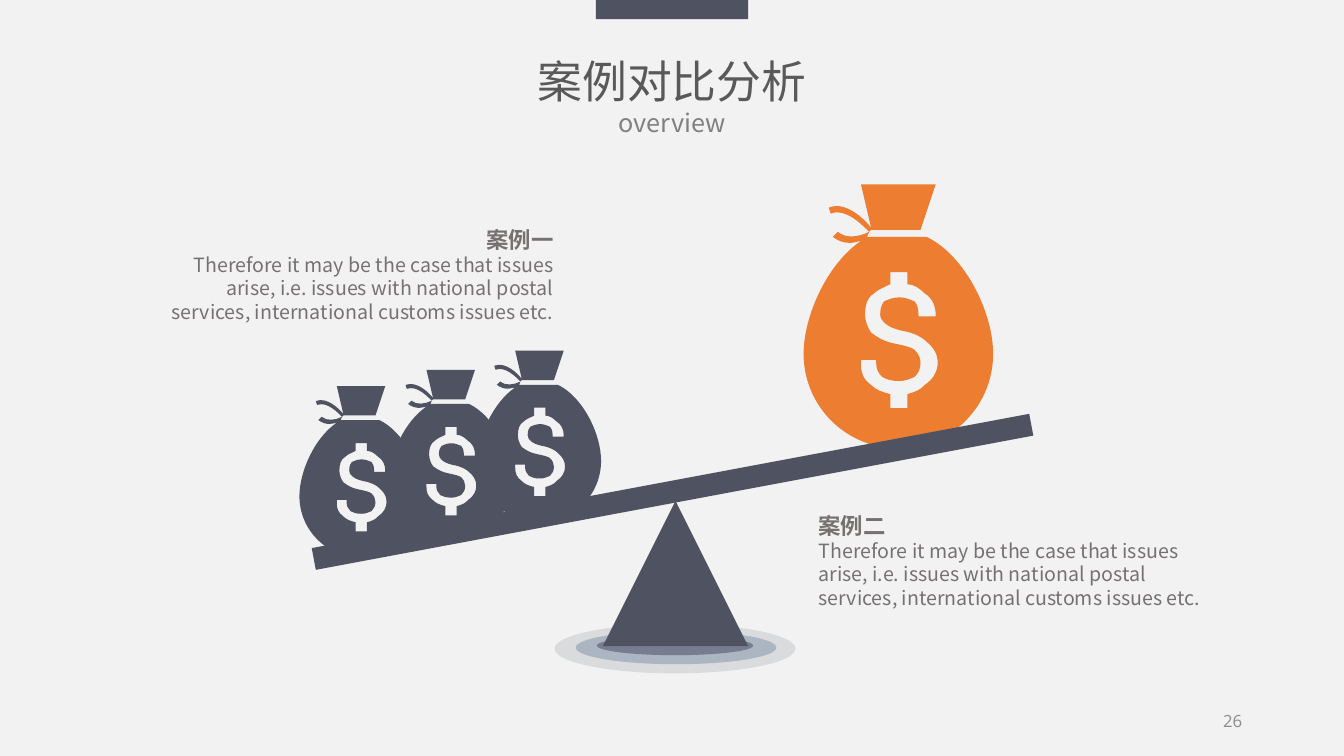
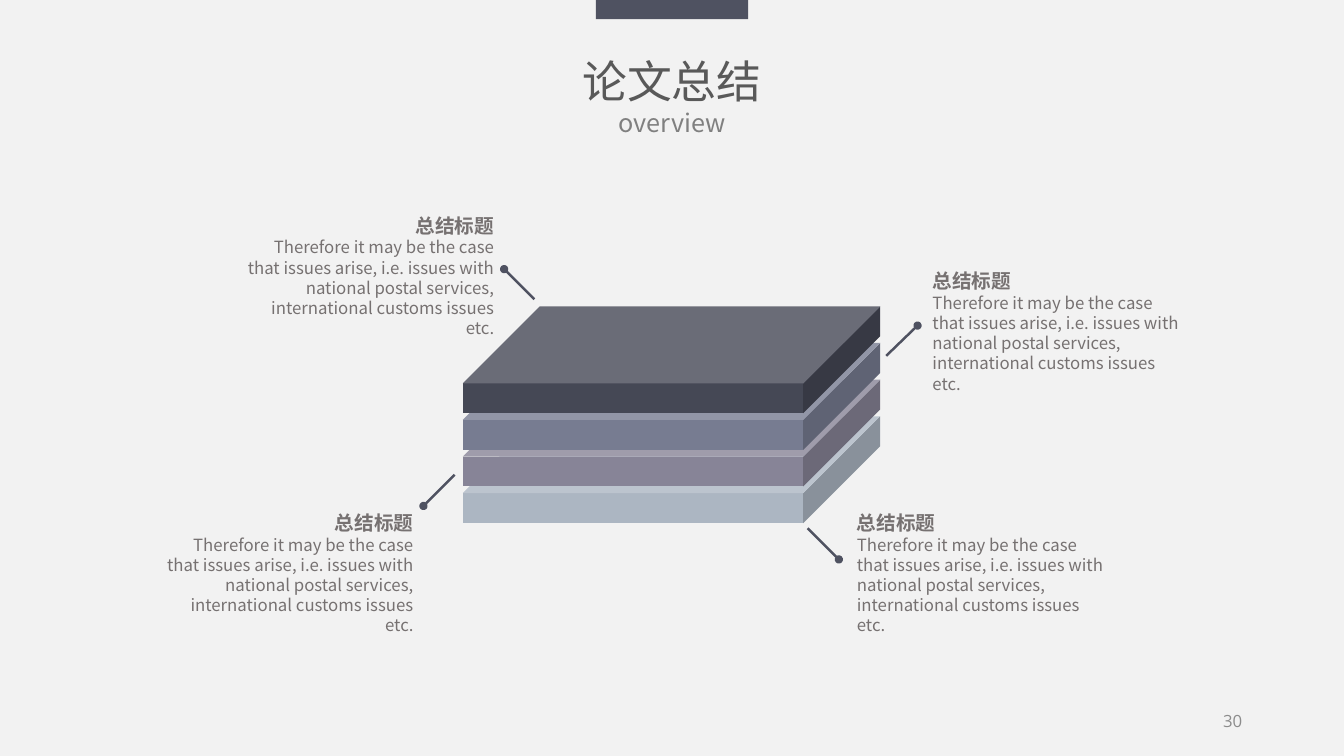
from lxml import etree
from pptx import Presentation
from pptx.dml.color import RGBColor
from pptx.enum import shapes, text
from pptx.oxml import ns
from pptx.util import Inches, Pt

# Shared colours and fonts
PAPER = RGBColor(0xF2, 0xF2, 0xF2)
SLATE = RGBColor(0x4F, 0x52, 0x61)
ORANGE = RGBColor(0xED, 0x7D, 0x31)
CHARCOAL = RGBColor(0x45, 0x48, 0x55)
INDIGO = RGBColor(0x77, 0x7C, 0x91)
MAUVE = RGBColor(0x87, 0x84, 0x97)
MIST = RGBColor(0xAC, 0xB6, 0xC2)
PALE = RGBColor(0xDA, 0xDB, 0xDD)
TITLE_GREY = RGBColor(0x59, 0x59, 0x59)
SUBTITLE_GREY = RGBColor(0x80, 0x80, 0x80)
TEXT_GREY = RGBColor(0x76, 0x71, 0x71)
NUMBER_GREY = RGBColor(0x8C, 0x8C, 0x8C)
CJK, HEADING, NUMBER = "Noto Sans CJK SC", "Roboto", "Open Sans"
LEFT, CENTER, RIGHT = (text.PP_ALIGN.LEFT, text.PP_ALIGN.CENTER,
                       text.PP_ALIGN.RIGHT)
BODY = ("Therefore it may be the case that issues arise, i.e. issues with "
        "national postal services, international customs issues etc.")

# Money bag outlines in inches: a pair is a corner, six numbers are a curve
BAG_NECK = [
    (1.16, .45), (1.31, 0), (.57, 0), (.67, .43),
    (.61, .35, .42, .16, .25, .23), (.27, .29),
    (.42, .23, .59, .41, .65, .47), (.67, .45)]
BAG_BODY = [
    (1.22, .52), (.63, .52), (.65, .47), (.55, .52, .42, .54, .34, .47),
    (.29, .52), (.34, .56, .4, .58, .46, .58), (.51, .58, .55, .56, .57, .56),
    (.23, .79, 0, 1.31, 0, 1.68), (0, 2.2, .42, 2.62, .95, 2.62),
    (1.46, 2.62, 1.88, 2.2, 1.88, 1.68), (1.88, 1.27, 1.6, .7, 1.22, .52)]
DOLLAR = [
    (1.2, 1.99), (1.16, 2.04, 1.1, 2.06, 1.03, 2.08), (1.03, 2.22),
    (.86, 2.22), (.86, 2.08), (.78, 2.06, .72, 2.04, .67, 1.99),
    (.59, 1.93, .57, 1.87, .57, 1.79), (.57, 1.74), (.72, 1.74), (.72, 1.77),
    (.72, 1.83, .74, 1.87, .78, 1.91), (.82, 1.93, .86, 1.95, .95, 1.95),
    (1.01, 1.95, 1.05, 1.93, 1.1, 1.91), (1.14, 1.87, 1.16, 1.83, 1.16, 1.77),
    (1.16, 1.72, 1.14, 1.68, 1.1, 1.64), (1.08, 1.62, 1.01, 1.6, .91, 1.58),
    (.8, 1.56, .74, 1.52, .67, 1.47), (.63, 1.41, .61, 1.35, .61, 1.29),
    (.61, 1.2, .63, 1.12, .7, 1.08), (.74, 1.04, .8, 1.02, .86, .99),
    (.86, .87), (1.03, .87), (1.03, .99), (1.1, .99, 1.16, 1.04, 1.2, 1.08),
    (1.27, 1.12, 1.31, 1.2, 1.31, 1.29), (1.31, 1.31), (1.14, 1.31),
    (1.14, 1.29), (1.14, 1.22, 1.12, 1.18, 1.1, 1.16),
    (1.05, 1.14, 1.01, 1.12, .95, 1.12), (.89, 1.12, .84, 1.14, .8, 1.16),
    (.78, 1.18, .76, 1.22, .76, 1.29), (.76, 1.33, .78, 1.35, .8, 1.37),
    (.84, 1.41, .89, 1.43, .97, 1.45), (1.1, 1.47, 1.18, 1.52, 1.22, 1.56),
    (1.29, 1.62, 1.33, 1.68, 1.33, 1.77), (1.33, 1.85, 1.29, 1.93, 1.2, 1.99)]


def paint(shape, color):
    shape.shadow.inherit = False
    shape.fill.solid()
    shape.fill.fore_color.rgb = color
    shape.line.fill.background()


def add_block(page, kind, place, color):
    block = page.shapes.add_shape(kind, *map(Inches, place))
    paint(block, color)
    return block


def add_text(page, place, lines, align=LEFT, wrap=True,
             anchor=text.MSO_ANCHOR.TOP):
    """Each line is a pair: its words and a dict of font values."""
    box = page.shapes.add_textbox(*map(Inches, place))
    frame = box.text_frame
    frame.word_wrap = wrap
    frame.vertical_anchor = anchor
    for index, (words, style) in enumerate(lines):
        para = frame.paragraphs[0] if index == 0 else frame.add_paragraph()
        para.alignment = align
        span = para.add_run()
        span.text = words
        values = dict(style)
        span.font.color.rgb = values.pop("color")
        for name, value in values.items():
            setattr(span.font, name, value)
        east_asian = etree.SubElement(span.font._element, ns.qn("a:ea"))
        east_asian.set("typeface", CJK)


def add_note(page, place, heading, size, align=LEFT):
    add_text(page, place, [
        (heading, dict(size=Pt(size + 2), name=HEADING, bold=True,
                       color=TEXT_GREY)),
        (BODY, dict(size=Pt(size), name=CJK, bold=False, color=TEXT_GREY)),
    ], align)


def add_page(deck, title, number):
    """Blank page with the background, top tab, title and page number."""
    page = deck.slides.add_slide(deck.slide_layouts[6])
    page.background.fill.solid()
    page.background.fill.fore_color.rgb = PAPER
    add_block(page, shapes.MSO_SHAPE.RECTANGLE, (5.91, 0, 1.51, .19), SLATE)
    add_text(page, (5.22, .48, 2.89, .94), [
        (title, dict(size=Pt(32), name=CJK, color=TITLE_GREY)),
        ("overview", dict(size=Pt(18), name=CJK, color=SUBTITLE_GREY)),
    ], CENTER, wrap=False)
    add_text(page, (11.92, 6.95, .5, .4), [
        (str(number), dict(size=Pt(12), name=NUMBER, color=NUMBER_GREY)),
    ], RIGHT, anchor=text.MSO_ANCHOR.MIDDLE)
    return page


def bend_segments(shape, parts, place):
    """Replace straight segments by cubic curves where six numbers are given."""
    segments = list(shape._element.iter(ns.qn("a:lnTo")))
    for segment, part in zip(segments, parts):
        if len(part) == 2:
            continue
        curve = etree.Element(ns.qn("a:cubicBezTo"))
        for pair in (part[:2], part[2:4], part[4:]):
            x, y = place(pair)
            node = etree.SubElement(curve, ns.qn("a:pt"))
            node.set("x", str(x - shape.left))
            node.set("y", str(y - shape.top))
        segment.getparent().replace(segment, curve)


def add_outline(page, contours, left, top, scale, color):
    def place(pair):
        return Inches(left + pair[0] * scale), Inches(top + pair[1] * scale)

    builder = None
    for contour in contours:
        points = [place(part[-2:]) for part in contour]
        if builder is None:
            builder = page.shapes.build_freeform(*points[0])
        else:
            builder.move_to(*points[0])
        builder.add_line_segments(points[1:], close=True)
    outline = builder.convert_to_shape()
    paint(outline, color)
    bend_segments(outline, [part for contour in contours
                            for part in contour[1:]], place)


def add_money_bag(page, left, top, scale, color):
    add_outline(page, [BAG_NECK], left, top, scale, color)
    add_outline(page, [BAG_BODY, DOLLAR], left, top, scale, color)


def add_pointer(page, start, end):
    """Line that ends in a round dot."""
    line = page.shapes.add_connector(shapes.MSO_CONNECTOR.STRAIGHT,
                                     *map(Inches, start + end))
    line.line.color.rgb = SLATE
    line.line.width = Pt(1.75)
    dot = etree.SubElement(line.line._get_or_add_ln(), ns.qn("a:tailEnd"))
    dot.set("type", "oval")
    etree.SubElement(line._element.spPr, ns.qn("a:effectLst"))


def build_comparison(deck):
    page = add_page(deck, "案例对比分析", 26)
    # Bags on the seesaw
    add_money_bag(page, 7.97, 1.83, 1, ORANGE)
    for left, top in ((2.97, 3.83), (3.86, 3.67), (4.74, 3.48)):
        add_money_bag(page, left, top, .65, SLATE)
    plank = add_block(page, shapes.MSO_SHAPE.RECTANGLE,
                      (3.05, 4.77, 7.24, .22), SLATE)
    plank.rotation = 349.4
    # Pivot and its rings
    for place, color in (((5.5, 6.19, 2.39, .49), PALE),
                         ((5.71, 6.26, 1.99, .33), MIST),
                         ((5.92, 6.31, 1.55, .19), INDIGO)):
        add_block(page, shapes.MSO_SHAPE.OVAL, place, color)
    add_block(page, shapes.MSO_SHAPE.ISOSCELES_TRIANGLE,
              (5.98, 4.97, 1.44, 1.44), SLATE)
    # Notes
    add_note(page, (1.41, 2.19, 4.18, 1.08), "案例一", 14, RIGHT)
    add_note(page, (8.02, 5.03, 4.18, 1.08), "案例二", 14)


def build_summary(deck):
    page = add_page(deck, "论文总结", 30)
    # Stack of layers, lowest first
    for level, color in enumerate((MIST, MAUVE, INDIGO, CHARCOAL)):
        layer = add_block(page, shapes.MSO_SHAPE.CUBE,
                          (4.59, 4.13 - level * 1.09 / 3, 4.14, 1.06), color)
        layer.adjustments[0] = .72
    # Pointers
    for start, end in (((5.3, 2.97), (5, 2.67)), ((8.01, 5.24), (8.32, 5.55)),
                       ((8.79, 3.53), (9.1, 3.23)), ((4.51, 4.71), (4.2, 5.02))):
        add_pointer(page, start, end)
    # Notes
    for left, top, align in ((9.15, 2.62, LEFT), (8.4, 5.02, LEFT),
                             (1.51, 5.02, RIGHT), (2.31, 2.07, RIGHT)):
        add_note(page, (left, top, 2.69, 1.35), "总结标题", 12, align)


def main():
    deck = Presentation()
    deck.slide_width, deck.slide_height = Inches(13.33), Inches(7.5)
    build_comparison(deck)
    build_summary(deck)
    deck.save("out.pptx")


if __name__ == "__main__":
    main()
